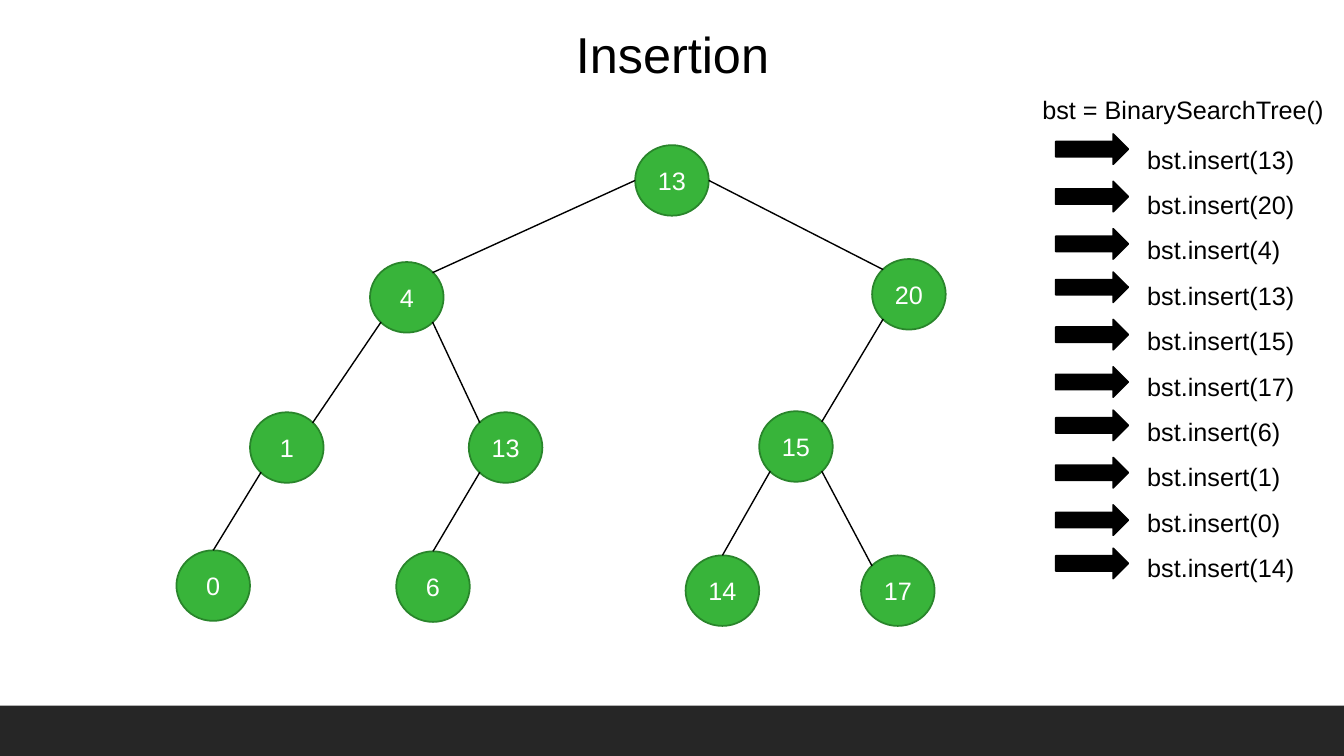
from dataclasses import dataclass
from lxml.etree import SubElement
from pptx import Presentation
from pptx.dml.color import RGBColor
from pptx.enum.shapes import MSO_CONNECTOR, MSO_SHAPE
from pptx.enum.text import MSO_ANCHOR, MSO_AUTO_SIZE, PP_ALIGN
from pptx.oxml.ns import qn
from pptx.util import Inches, Pt


@dataclass(frozen=True)
class Theme:
    font: str = "Arial"
    black: str = "000000"
    white: str = "FFFFFF"
    green: str = "38B43A"
    edge: str = "29852B"
    dark: str = "262626"
    title: int = 36
    body: int = 18
    rim: float = 1.25
    link: float = 1


def apply(target, form):
    for name, value in form.items():
        setattr(target, name, value)


class Board:
    """Draws styled elements on the current slide."""

    def __init__(self, slide, theme):
        self.slide = slide
        self.theme = theme

    def fill_text(self, frame, lines, size, color, align, space=None):
        for i, line in enumerate(lines):
            para = frame.add_paragraph() if i else frame.paragraphs[0]
            apply(para, {"alignment": align, "line_spacing": space})
            run = para.add_run()
            run.text = line
            apply(run.font, {"name": self.theme.font, "size": Pt(size)})
            run.font.color.rgb = RGBColor.from_string(color)

    def shape(self, kind, box, fill, edge=None):
        item = self.slide.shapes.add_shape(kind, *map(Inches, box))
        item.shadow.inherit = False
        item.fill.solid()
        item.fill.fore_color.rgb = RGBColor.from_string(fill)
        if edge:
            item.line.color.rgb = RGBColor.from_string(edge)
            item.line.width = Pt(self.theme.rim)
        else:
            item.line.fill.background()
        return item

    def node(self, label, box):
        item = self.shape(MSO_SHAPE.OVAL, box, self.theme.green, self.theme.edge)
        item.text_frame.vertical_anchor = MSO_ANCHOR.MIDDLE
        self.fill_text(item.text_frame, [label], self.theme.body,
                       self.theme.white, PP_ALIGN.CENTER)

    def arrow(self, box):
        self.shape(MSO_SHAPE.RIGHT_ARROW, box, self.theme.black, self.theme.black)

    def line(self, start, end):
        item = self.slide.shapes.add_connector(
            MSO_CONNECTOR.STRAIGHT, *map(Inches, start + end))
        item.line.color.rgb = RGBColor.from_string(self.theme.black)
        item.line.width = Pt(self.theme.link)
        SubElement(item._element.spPr, qn("a:effectLst"))

    def text(self, box, lines, size, align=PP_ALIGN.LEFT, wrap=True, space=None):
        frame = self.slide.shapes.add_textbox(*map(Inches, box)).text_frame
        apply(frame, {"word_wrap": wrap, "auto_size": MSO_AUTO_SIZE.SHAPE_TO_FIT_TEXT})
        self.fill_text(frame, lines, size, self.theme.black, align, space)


WIDE, HIGH = 0.73, 0.7
DIAG = 0.35
SIDES = {
    "top": (0, -0.5), "left": (-0.5, 0), "right": (0.5, 0),
    "top left": (-DIAG, -DIAG), "top right": (DIAG, -DIAG),
    "low left": (-DIAG, DIAG), "low right": (DIAG, DIAG),
}
NODES = {
    "root": ("13", 6.3, 1.44),
    "four": ("4", 3.67, 2.6),
    "twenty": ("20", 8.65, 2.57),
    "one": ("1", 2.48, 4.09),
    "twin": ("13", 4.65, 4.09),
    "fifteen": ("15", 7.53, 4.08),
    "zero": ("0", 1.75, 5.46),
    "six": ("6", 3.93, 5.47),
    "fourteen": ("14", 6.8, 5.51),
    "last": ("17", 8.54, 5.51),
}
LINKS = [
    ("root", "left", "four", "top right"),
    ("root", "right", "twenty", "top left"),
    ("four", "low left", "one", "top right"),
    ("four", "low right", "twin", "top left"),
    ("twenty", "low left", "fifteen", "top right"),
    ("one", "low left", "zero", "top"),
    ("twin", "low left", "six", "top"),
    ("fifteen", "low left", "fourteen", "top"),
    ("fifteen", "low right", "last", "top left"),
]
KEYS = [13, 20, 4, 13, 15, 17, 6, 1, 0, 14]


def point(name, side):
    _, left, top = NODES[name]
    across, down = SIDES[side]
    return left + WIDE * (0.5 + across), top + HIGH * (0.5 + down)


def main():
    deck = Presentation()
    apply(deck, {"slide_width": Inches(13.33), "slide_height": Inches(7.5)})
    theme = Theme()
    board = Board(deck.slides.add_slide(deck.slide_layouts[6]), theme)
    board.shape(MSO_SHAPE.RECTANGLE, (0, 7, 13.33, 0.5), theme.dark)
    for label, left, top in NODES.values():
        board.node(label, (left, top, WIDE, HIGH))
    for head, out, child, into in LINKS:
        board.line(point(head, out), point(child, into))
    board.text((11.28, 1.23, 1.89, 5.04), [f"bst.insert({key})" for key in KEYS],
               theme.body, space=1.5)
    for i in range(len(KEYS)):
        group, step = divmod(i, 3)
        board.arrow((10.47, 1.33 + 1.37 * group + 0.47 * step, 0.72, 0.3))
    board.text((4.32, 0.18, 4.7, 0.71), ["Insertion"], theme.title, PP_ALIGN.CENTER)
    board.text((10.24, 0.89, 3, 0.4), ["bst = BinarySearchTree()"], theme.body, wrap=False)
    deck.save("out.pptx")


if __name__ == "__main__":
    main()
